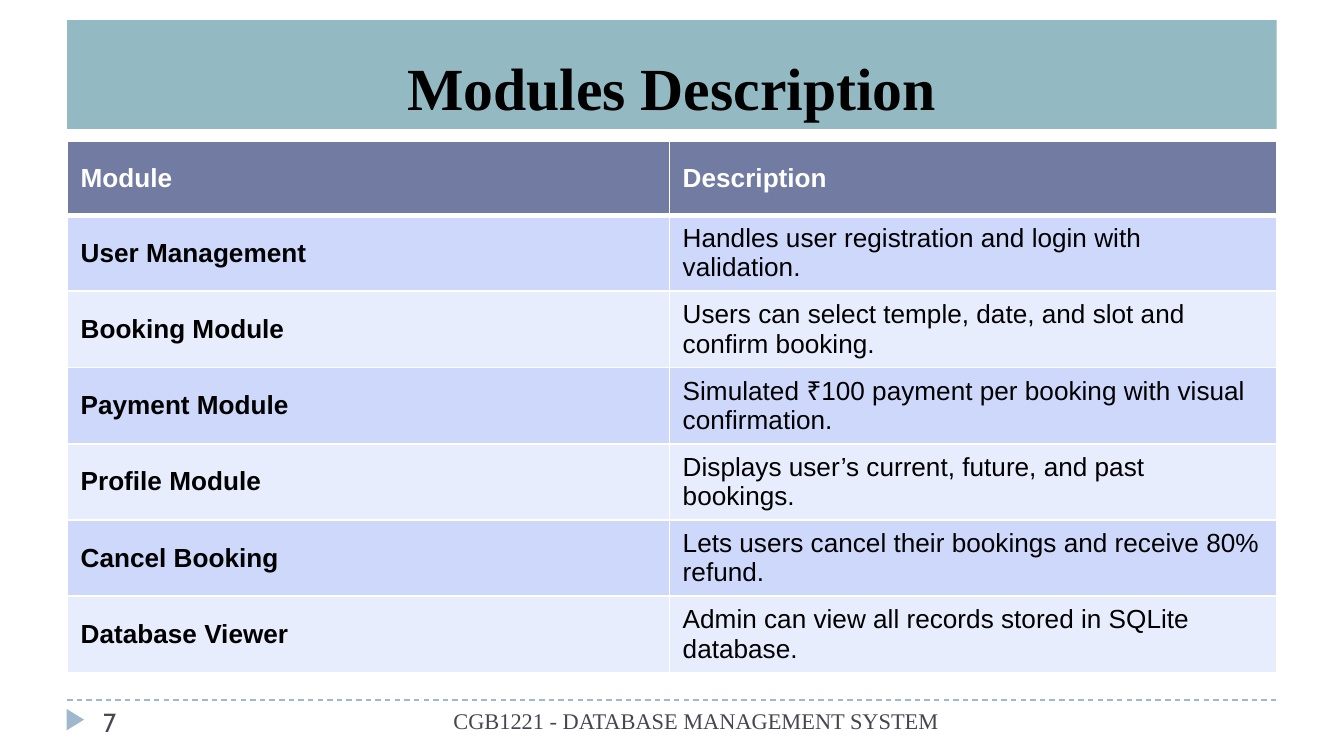
from lxml.etree import SubElement
from pptx import Presentation
from pptx.dml.color import RGBColor as RGB
from pptx.enum.dml import MSO_LINE
from pptx.enum.shapes import MSO_CONNECTOR, MSO_SHAPE
from pptx.enum.text import MSO_ANCHOR as ANCHOR, PP_ALIGN as ALIGN
from pptx.oxml.ns import qn
from pptx.util import Inches, Pt

TITLE = "Modules Description"
PAGE = "7"
FOOTER = "CGB1221 - DATABASE MANAGEMENT SYSTEM"
ROWS = [
    ("Module", "Description"),
    ("User Management", "Handles user registration and login with validation."),
    ("Booking Module", "Users can select temple, date, and slot and confirm booking."),
    ("Payment Module", "Simulated ₹100 payment per booking with visual confirmation."),
    ("Profile Module", "Displays user’s current, future, and past bookings."),
    ("Cancel Booking", "Lets users cancel their bookings and receive 80% refund."),
    ("Database Viewer", "Admin can view all records stored in SQLite database."),
]
SLIDE_W = 10
SLIDE_H = SLIDE_W * 9 / 16
LEFT, WIDTH = 0.5, 9
COL_WIDTHS = (4.48, 4.52)
TABLE_H, HEADER_H = 3.95, 0.55
ROW_H = (TABLE_H - HEADER_H) / (len(ROWS) - 1)

THEME = {
    "banner": "93B9C3", "accent": "9FB8CD", "header": "727CA3",
    "bands": ("CDD8FB", "E8EDFD"), "border": "FFFFFF",
    "title": {"name": "Times New Roman", "size": 32, "bold": True, "color": "000000"},
    "page": {"name": "Cabin", "size": 14, "bold": False, "color": "464653"},
    "footer": {"name": "Times New Roman", "size": 12, "bold": False, "color": "464653"},
    "head": {"name": "Arial", "size": 14, "bold": True, "color": "FFFFFF"},
    "label": {"name": "Arial", "size": 14, "bold": True, "color": "000000"},
    "body": {"name": "Arial", "size": 14, "bold": False, "color": "000000"},
}


def box(*lengths):
    return [Inches(n) for n in lengths]


def write(tf, text, style, align=ALIGN.LEFT):
    p = tf.paragraphs[0]
    p.alignment = align
    r = p.add_run()
    r.text = text
    values = dict(THEME[style])
    r.font.color.rgb = RGB.from_string(values.pop("color"))
    values["size"] = Pt(values["size"])
    for name, value in values.items():
        setattr(r.font, name, value)


def add_plain_shape(s, kind, at, color):
    sp = s.shapes.add_shape(kind, *box(*at))
    sp.shadow.inherit = False
    sp.fill.solid()
    sp.fill.fore_color.rgb = RGB.from_string(color)
    sp.line.fill.background()
    return sp


def add_label(s, at, text, style, align=ALIGN.LEFT):
    tf = s.shapes.add_textbox(*box(*at)).text_frame
    tf.word_wrap = True
    write(tf, text, style, align)


def set_borders(cell, widths):
    tc_pr = cell._tc.get_or_add_tcPr()
    for side, width in zip("LRTB", widths):
        ln = SubElement(tc_pr, qn(f"a:ln{side}"), w=str(Pt(width)))
        fill = SubElement(ln, qn("a:solidFill"))
        SubElement(fill, qn("a:srgbClr"), val=THEME["border"])


def add_module_table(s):
    frame = s.shapes.add_table(len(ROWS), len(COL_WIDTHS), *box(LEFT, 1.05, WIDTH, TABLE_H))
    table = frame.table
    for column, width in zip(table.columns, COL_WIDTHS):
        column.width = Inches(width)
    for i, row in enumerate(ROWS):
        table.rows[i].height = Inches(ROW_H if i else HEADER_H)
        color = THEME["bands"][(i - 1) % 2] if i else THEME["header"]
        for j, text in enumerate(row):
            cell = table.cell(i, j)
            cell.vertical_anchor = ANCHOR.MIDDLE
            set_borders(cell, (1, 1, 3 if i == 1 else 1, 3 if i == 0 else 1))
            cell.fill.solid()
            cell.fill.fore_color.rgb = RGB.from_string(color)
            write(cell.text_frame, text, ("label", "body")[j] if i else "head")


def add_footer(s):
    rule = s.shapes.add_connector(MSO_CONNECTOR.STRAIGHT, *box(LEFT, 5.21, LEFT + WIDTH, 5.21))
    rule.line.color.rgb = RGB.from_string(THEME["accent"])
    rule.line.width = Pt(0.75)
    rule.line.dash_style = MSO_LINE.DASH
    SubElement(rule._element.spPr, qn("a:effectLst"))
    marker = add_plain_shape(s, MSO_SHAPE.ISOSCELES_TRIANGLE, (0.48, 5.29, 0.16, 0.13), THEME["accent"])
    marker.rotation = 90
    add_label(s, (0.67, 5.21, 2.17, 0.3), PAGE, "page")
    add_label(s, (2.97, 5.21, 4.42, 0.41), FOOTER, "footer", ALIGN.CENTER)


def main():
    prs = Presentation()
    prs.slide_width, prs.slide_height = box(SLIDE_W, SLIDE_H)
    s = prs.slides.add_slide(prs.slide_layouts[6])
    add_footer(s)
    banner = add_plain_shape(s, MSO_SHAPE.RECTANGLE, (LEFT, 0.15, WIDTH, 0.81), THEME["banner"])
    banner.text_frame.vertical_anchor = ANCHOR.BOTTOM
    write(banner.text_frame, TITLE, "title", ALIGN.CENTER)
    add_module_table(s)
    prs.save("out.pptx")


if __name__ == "__main__":
    main()
